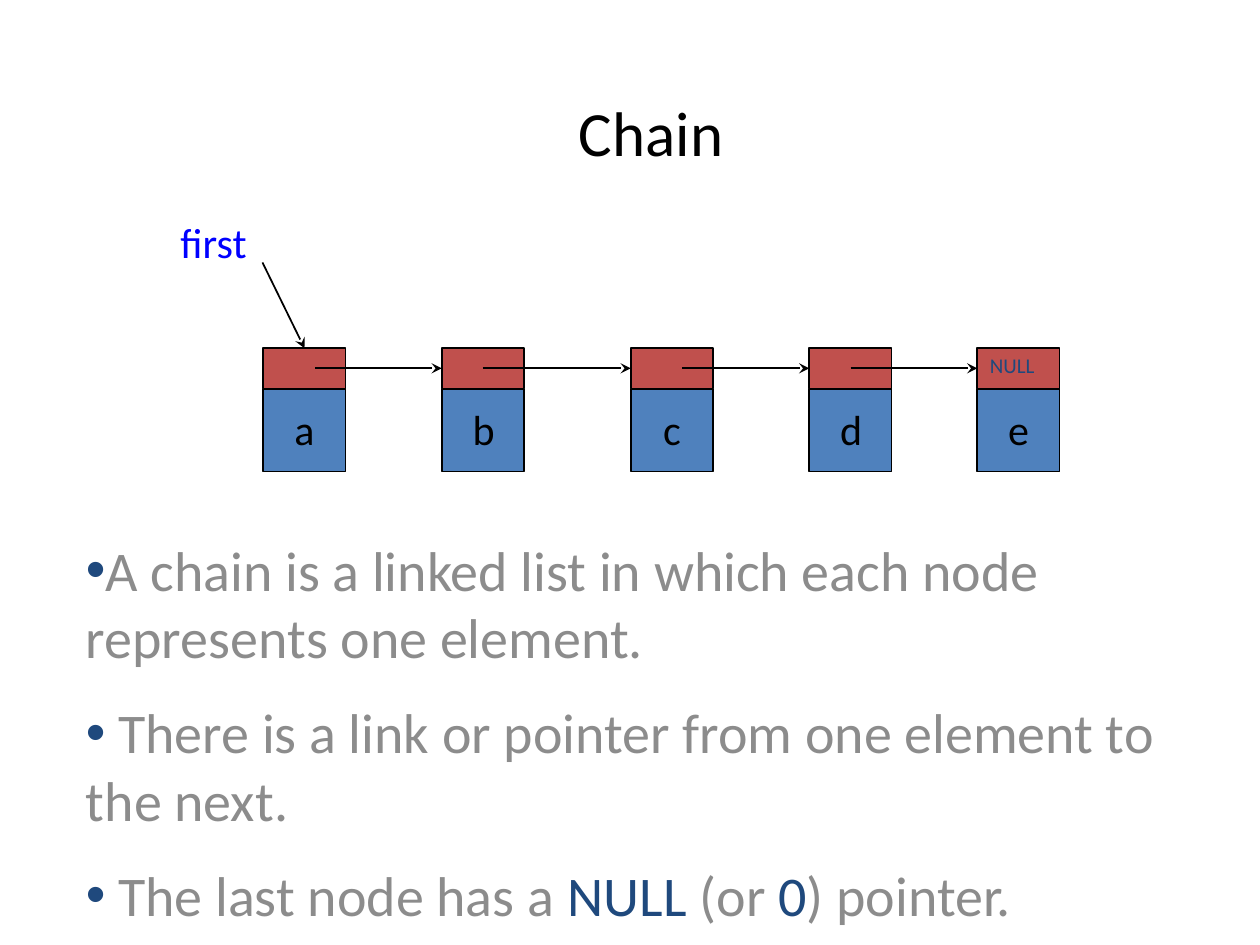
from dataclasses import dataclass

from lxml.etree import SubElement
from pptx import Presentation
from pptx.dml.color import RGBColor
from pptx.enum.shapes import MSO_CONNECTOR as Connector, MSO_SHAPE as Shape
from pptx.enum.text import MSO_ANCHOR as Anchor, PP_ALIGN as Align
from pptx.oxml.ns import qn
from pptx.util import Pt


@dataclass(frozen=True)
class Theme:
    font: str = "Calibri"
    black: str = "000000"
    gray: str = "8C8C8C"
    navy: str = "1F497D"
    pointer: str = "0000FF"
    data_fill: str = "4F81BD"
    link_fill: str = "C0504D"
    title_size: int = 36
    body_size: int = 32
    label_size: int = 24
    null_size: int = 12


THEME = Theme()

# Content: each bullet is a list of (text, colour) runs
TITLE = "Chain"
POINTER_NAME = "first"
END_MARK = "NULL"
BULLETS = [
    [("A chain is a linked list in which each node represents one element.", THEME.gray)],
    [(" There is a link or pointer from one element to the next.", THEME.gray)],
    [(" The last node has a ", THEME.gray), ("NULL ", THEME.navy), ("(or", THEME.gray),
     (" 0", THEME.navy), (") pointer.", THEME.gray)],
]
# Element, left edge of its node, start of its outgoing arrow
NODES = [
    ("a", 150.5, 180),
    ("b", 252.5, 276),
    ("c", 360.5, 390),
    ("d", 462.5, 486),
    ("e", 558.5, None),
]

# Layout in points: left, top, width, height
SLIDE_SIZE = (720, 540)
TITLE_BOX = (66, 30, 612, 90)
BODY_BOX = (42, 302.5, 660, 237.5)
POINTER_BOX = (96, 120, 132, 36)
POINTER_START = (150, 150)
NODE_SIZE = 47
LINK_TOP, LINK_HEIGHT = 199, 23
DATA_TOP = 222.5
LABEL_WIDTH, LABEL_HEIGHT = 26, 36
BULLET_GAP = 16

presentation = Presentation()
presentation.slide_width, presentation.slide_height = map(Pt, SLIDE_SIZE)
slide = presentation.slides.add_slide(presentation.slide_layouts[6])


def add_run(paragraph, text, size, color):
    run = paragraph.add_run()
    run.text = text
    run.font.name = THEME.font
    run.font.size = Pt(size)
    run.font.color.rgb = RGBColor.from_string(color)


def add_text(box, text, size, color, align=Align.LEFT, anchor=Anchor.TOP, wrap=True):
    frame = slide.shapes.add_textbox(*map(Pt, box)).text_frame
    frame.word_wrap = wrap
    frame.vertical_anchor = anchor
    frame.paragraphs[0].alignment = align
    add_run(frame.paragraphs[0], text, size, color)


def add_box(left, top, height, fill):
    shape = slide.shapes.add_shape(Shape.RECTANGLE, *map(Pt, (left, top, NODE_SIZE, height)))
    shape.shadow.inherit = False
    shape.fill.solid()
    shape.fill.fore_color.rgb = RGBColor.from_string(fill)
    shape.line.color.rgb = RGBColor.from_string(THEME.black)
    shape.line.width = Pt(1)
    return shape


def add_arrow(start, target, site):
    """Draw an arrow from a point to a connection site of the target box."""
    arrow = slide.shapes.add_connector(Connector.STRAIGHT, *map(Pt, start + start))
    arrow.end_connect(target, site)
    arrow.line.color.rgb = RGBColor.from_string(THEME.black)
    arrow.line.width = Pt(1)
    SubElement(arrow.line._get_or_add_ln(), qn("a:tailEnd"), type="stealth")
    SubElement(arrow._element.spPr, qn("a:effectLst"))


def add_bullet(paragraph):
    properties = paragraph._p.get_or_add_pPr()
    properties.set("marL", "0")
    properties.set("indent", "0")
    color = SubElement(properties, qn("a:buClr"))
    SubElement(color, qn("a:srgbClr"), val=THEME.navy)
    SubElement(properties, qn("a:buFont"), typeface="Arial")
    SubElement(properties, qn("a:buChar"), char="•")


# Title
add_text(TITLE_BOX, TITLE, THEME.title_size, THEME.black, Align.CENTER, Anchor.MIDDLE)

# Bullets
body = slide.shapes.add_textbox(*map(Pt, BODY_BOX)).text_frame
body.word_wrap = True
for index, runs in enumerate(BULLETS):
    paragraph = body.add_paragraph() if index else body.paragraphs[0]
    paragraph.space_before = Pt(BULLET_GAP if index else 0)
    add_bullet(paragraph)
    for text, color in runs:
        add_run(paragraph, text, THEME.body_size, color)

# Nodes: a data box below a link box
links = []
for element, left, _ in NODES:
    add_box(left, DATA_TOP, NODE_SIZE, THEME.data_fill)
    links.append(add_box(left, LINK_TOP, LINK_HEIGHT, THEME.link_fill))
    label_left = left + (NODE_SIZE - LABEL_WIDTH) / 2
    add_text((label_left, DATA_TOP + 4.5, LABEL_WIDTH, LABEL_HEIGHT), element,
             THEME.label_size, THEME.black, Align.CENTER, wrap=False)

# Arrows from each node to the next
link_middle = LINK_TOP + LINK_HEIGHT / 2
for (_, _, start), next_link in zip(NODES, links[1:]):
    add_arrow((start, link_middle), next_link, 1)

# End mark and the pointer to the first node
add_text((NODES[-1][1], LINK_TOP - 1, NODE_SIZE + 1, LINK_HEIGHT - 1), END_MARK,
         THEME.null_size, THEME.navy)
add_text(POINTER_BOX, POINTER_NAME, THEME.label_size, THEME.pointer)
add_arrow(POINTER_START, links[0], 0)

presentation.save("out.pptx")
